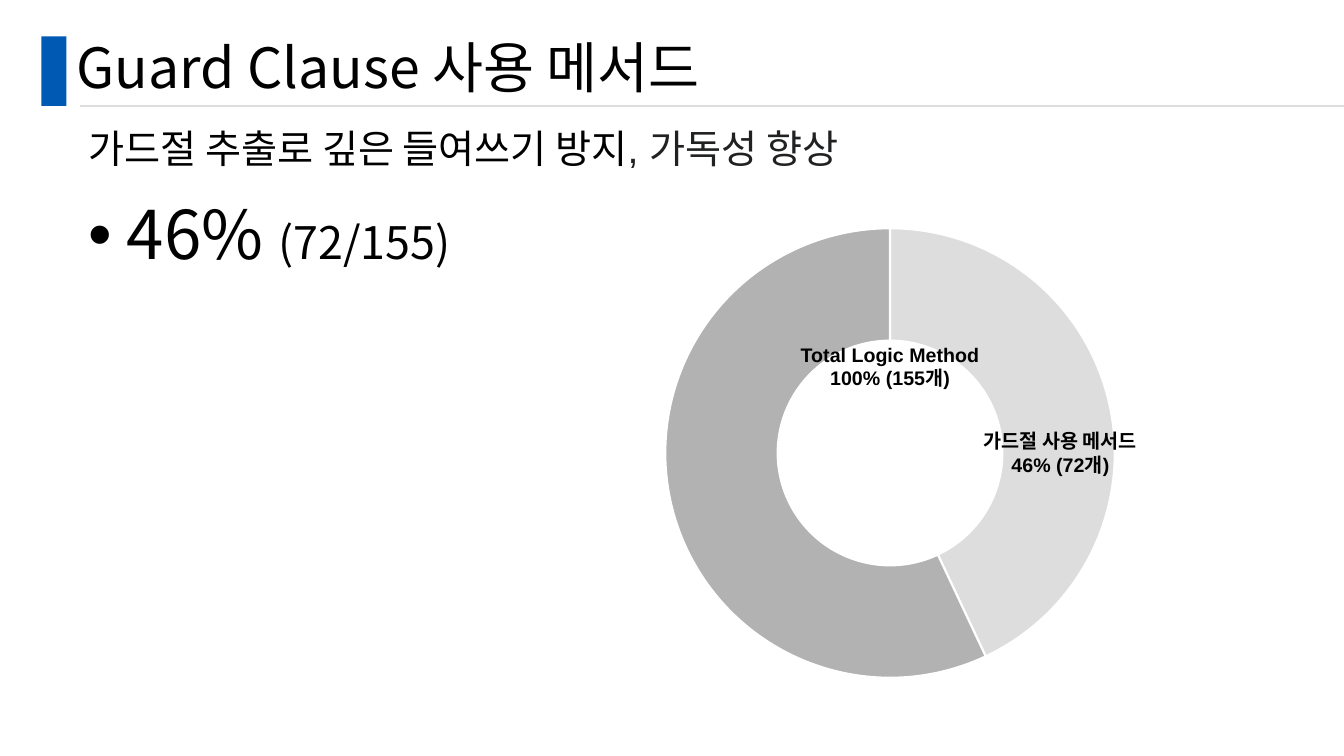
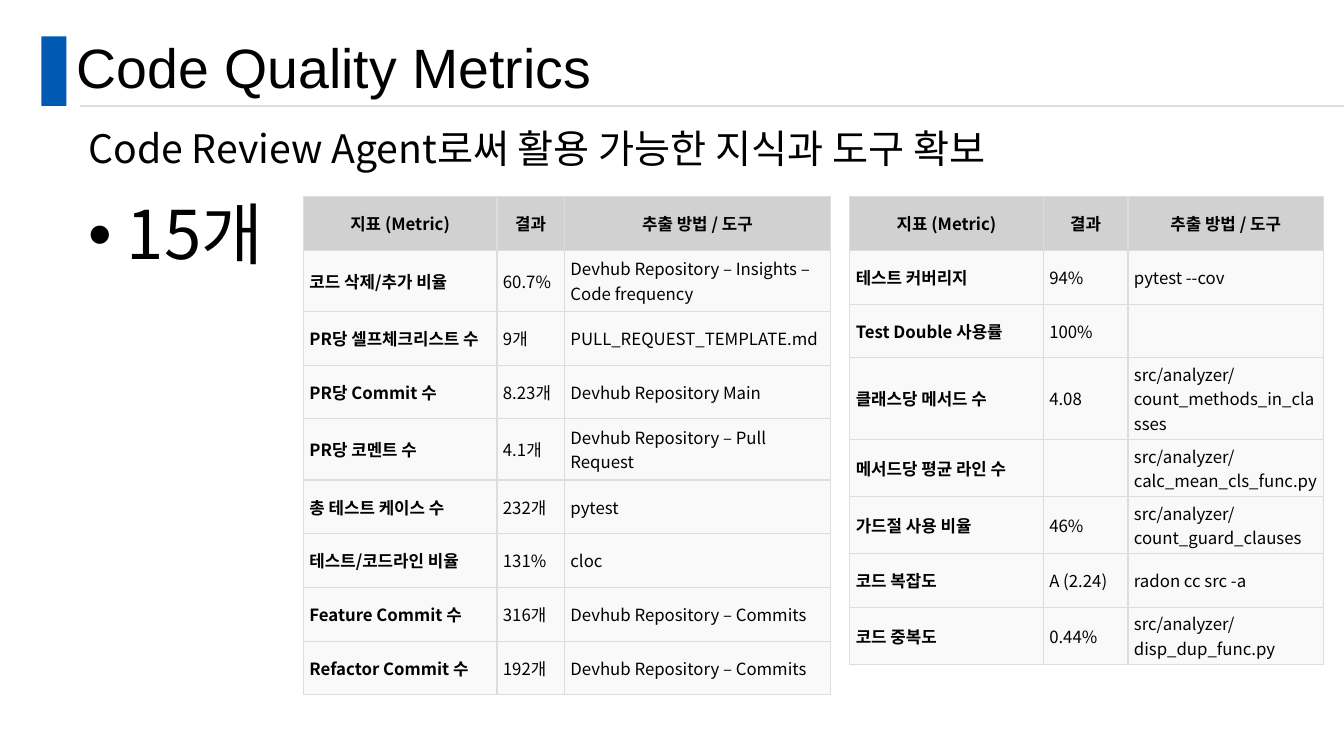
from dataclasses import dataclass
from typing import Optional, Sequence

from lxml import etree
from pptx import Presentation
from pptx import util as u
from pptx.chart import data as chart_data
from pptx.dml.color import RGBColor
from pptx.enum import chart as chart_enum
from pptx.enum import shapes, text
from pptx.oxml.ns import qn

COLUMNS, ROWS = 133.33, 75  # grid of tenth-inch cells


@dataclass(frozen=True)
class Theme:
    black: str = "000000"
    white: str = "FFFFFF"
    soft_black: str = "202122"
    band: str = "005AB4"
    rule: str = "DDDDDD"
    head_fill: str = "D1D1D1"
    row_fill: str = "F9F9F9"
    slices: tuple[str, ...] = ("DDDDDD", "B2B2B2")
    latin: str = "Arial"
    korean: str = "Noto Sans CJK KR"
    title: float = 39.6
    lead: float = 28
    figure: float = 48
    detail: float = 32
    label: float = 14
    table: float = 12
    chart: float = 10


THEME = Theme()


@dataclass(frozen=True)
class Box:
    """Left, top, width and height in grid cells."""
    x: float
    y: float
    w: float
    h: float

    def emu(self) -> tuple[int, int, int, int]:
        return cells(self.x), cells(self.y), cells(self.w), cells(self.h)


@dataclass(frozen=True)
class Span:
    words: str
    size: float
    font: str = THEME.korean
    color: str = THEME.black
    bold: bool = False


@dataclass(frozen=True)
class Page:
    title: Span
    lead: tuple[Span, ...]
    figure: tuple[Span, ...]


@dataclass(frozen=True)
class Label:
    box: Box
    lines: tuple[str, str]


@dataclass(frozen=True)
class Metrics:
    box: Box
    widths: tuple[float, float, float]
    roomy_rows: int  # leading rows with the taller cell margin
    line_counts: tuple[int, ...]  # text lines in each row, header first
    rows: tuple[tuple[str, str, str], ...]


BAND = Box(4.1, 3.6, 2.5, 6.9)
RULE_X, RULE_Y = 7.9, 10.5
TITLE = Box(6.6, 3.4, 115, 7.1)
LEAD = Box(6.6, 12.4, 115, 6.1)
FIGURE = Box(6.6, 19.5, 54.1, 52.1)
DOUGHNUT = Box(57.7, 21.2, 61.2, 47.5)
RING = 44.6  # outer diameter of the doughnut
TABLE_LINE = 2.43  # height of one line of table text
HEADER = ("지표 (Metric)", "결과", "추출 방법 / 도구")

GUARD_PAGE = Page(
    Span("Guard Clause 사용 메서드", THEME.title),
    (Span("가드절 추출로 깊은 들여쓰기 방지", THEME.lead),
     Span(", 가독성 향상", THEME.lead, THEME.latin, THEME.soft_black)),
    (Span("46% ", THEME.figure), Span("(72/155)", THEME.detail)),
)
METRICS_PAGE = Page(
    Span("Code Quality Metrics", THEME.title, THEME.latin),
    (Span("Code Review Agent로써 활용 가능한 지식과 도구 확보", THEME.lead),),
    (Span("15개", THEME.figure),),
)
LABELS = (
    Label(Box(91.5, 42.1, 27.4, 5.7), ("가드절 사용 메서드", "46% (72개)")),
    Label(Box(74.6, 33.5, 27.4, 5.7), ("Total Logic Method", "100% (155개)")),
)
METRICS = (
    Metrics(Box(30.1, 19.5, 52.3, 48), (19.2, 6.7, 26.4), 6, (1, 2, 1, 1, 2, 1, 1, 1, 1), (
        ("코드 삭제/추가 비율", "60.7%", "Devhub Repository – Insights – Code frequency"),
        ("PR당 셀프체크리스트 수", "9개", "PULL_REQUEST_TEMPLATE.md"),
        ("PR당 Commit 수", "8.23개", "Devhub Repository Main"),
        ("PR당 코멘트 수", "4.1개", "Devhub Repository – Pull Request"),
        ("총 테스트 케이스 수", "232개", "pytest"),
        ("테스트/코드라인 비율", "131%", "cloc"),
        ("Feature Commit 수", "316개", "Devhub Repository – Commits"),
        ("Refactor Commit 수", "192개", "Devhub Repository – Commits"),
    )),
    Metrics(Box(84.3, 19.5, 47, 42.7), (19.2, 8.4, 19.4), 1, (1, 1, 1, 3, 2, 2, 1, 2), (
        ("테스트 커버리지", "94%", "pytest --cov"),
        ("Test Double 사용률", "100%", ""),
        ("클래스당 메서드 수", "4.08", "src/analyzer/count_methods_in_classes"),
        ("메서드당 평균 라인 수", "", "src/analyzer/calc_mean_cls_func.py"),
        ("가드절 사용 비율", "46%", "src/analyzer/count_guard_clauses"),
        ("코드 복잡도", "A (2.24)", "radon cc src -a"),
        ("코드 중복도", "0.44%", "src/analyzer/disp_dup_func.py"),
    )),
)


def cells(count: float) -> int:
    return u.Inches(count / 10)


def rgb(color: str) -> RGBColor:
    return RGBColor.from_string(color)


def add_line(parent, tag: str, points: float, color: str, index: Optional[int] = None) -> None:
    """Adds a solid line element to text or cell properties."""
    line = etree.Element(qn(tag), w=str(int(u.Pt(points))))
    fill = etree.SubElement(line, qn("a:solidFill"))
    etree.SubElement(fill, qn("a:srgbClr"), val=color)
    parent.insert(len(parent) if index is None else index, line)


def format_run(run, span: Span) -> None:
    font = run.font
    font.size, font.bold, font.name = u.Pt(span.size), span.bold, span.font
    font.color.rgb = rgb(span.color)
    etree.SubElement(run._r.get_or_add_rPr(), qn("a:ea"), typeface=THEME.korean)


def write(paragraph, spans: Sequence[Span]) -> None:
    for span in spans:
        run = paragraph.add_run()
        run.text = span.words
        format_run(run, span)


def add_text(slide, box: Box, spans: Sequence[Span], margin: float,
             hanging: float = 0, bullet: bool = False) -> None:
    frame = slide.shapes.add_textbox(*box.emu()).text_frame
    frame.word_wrap = True
    paragraph = frame.paragraphs[0]
    props = paragraph._p.get_or_add_pPr()
    props.set("marL", str(cells(margin)))
    props.set("indent", str(cells(-hanging)))
    if bullet:
        color = etree.SubElement(props, qn("a:buClr"))
        etree.SubElement(color, qn("a:srgbClr"), val=THEME.black)
        etree.SubElement(props, qn("a:buFont"), typeface=THEME.latin)
        etree.SubElement(props, qn("a:buChar"), char="•")
    paragraph.line_spacing = 0.9
    write(paragraph, spans)


def decorate_layout(layout, slide) -> None:
    """Puts the title band and the rule behind everything on the layout."""
    band = slide.shapes.add_shape(shapes.MSO_SHAPE.RECTANGLE, *BAND.emu())
    band.shadow.inherit = False
    band.fill.solid()
    band.fill.fore_color.rgb = rgb(THEME.band)
    band.line.fill.background()
    rule = slide.shapes.add_connector(
        shapes.MSO_CONNECTOR.STRAIGHT, cells(RULE_X), cells(RULE_Y), cells(COLUMNS), cells(RULE_Y))
    rule.line.color.rgb = rgb(THEME.rule)
    rule.line.width = u.Pt(1.5)
    etree.SubElement(rule._element.spPr, qn("a:effectLst"))
    for part in (rule, band):
        layout.shapes._spTree.insert(2, part._element)


def add_page(deck, layout, page: Page):
    slide = deck.slides.add_slide(layout)
    title = slide.shapes.title
    title.left, title.top, title.width, title.height = TITLE.emu()
    frame = title.text_frame
    frame.text = page.title.words
    frame.word_wrap = True
    frame.auto_size = text.MSO_AUTO_SIZE.NONE
    frame.vertical_anchor = text.MSO_ANCHOR.MIDDLE
    heading = frame.paragraphs[0]
    heading.alignment = text.PP_ALIGN.LEFT
    heading.line_spacing = 0.9
    format_run(heading.runs[0], page.title)
    add_text(slide, FIGURE, page.figure, margin=5, hanging=3.8, bullet=True)
    add_text(slide, LEAD, page.lead, margin=1.2)
    return slide


def add_doughnut(slide) -> None:
    shares = chart_data.CategoryChartData()
    shares.categories = ["1", "2"]
    shares.add_series("Series 1", (43, 57))
    chart = slide.shapes.add_chart(
        chart_enum.XL_CHART_TYPE.DOUGHNUT, *DOUGHNUT.emu(), shares).chart
    chart.has_legend = chart.has_title = False
    chart.font.name, chart.font.size = THEME.latin, u.Pt(THEME.chart)
    chart.font.color.rgb = rgb(THEME.black)
    plot = chart.plots[0]
    plot.vary_by_categories = True
    for index, color in enumerate(THEME.slices):
        part = plot.series[0].points[index].format
        part.fill.solid()
        part.fill.fore_color.rgb = rgb(color)
        part.line.color.rgb = rgb(THEME.white)
        part.line.width = u.Pt(1.5)
    plot._element.find(qn("c:holeSize")).set("val", "75")
    # Centre the ring in the chart area
    area = plot._element.getparent()
    for old in area.findall(qn("c:layout")):
        area.remove(old)
    layout = etree.Element(qn("c:layout"))
    area.insert(0, layout)
    manual = etree.SubElement(layout, qn("c:manualLayout"))
    wide, high = RING / DOUGHNUT.w, RING / DOUGHNUT.h
    settings = {"layoutTarget": "inner", "xMode": "edge", "yMode": "edge",
                "x": (1 - wide) / 2, "y": (1 - high) / 2, "w": wide, "h": high}
    for key, value in settings.items():
        etree.SubElement(manual, qn(f"c:{key}"), val=str(value))


def add_label(slide, label: Label) -> None:
    frame = slide.shapes.add_textbox(*label.box.emu()).text_frame
    frame.word_wrap = True
    frame.auto_size = text.MSO_AUTO_SIZE.SHAPE_TO_FIT_TEXT
    frame.text = "\n".join(label.lines)
    for paragraph in frame.paragraphs:
        paragraph.alignment = text.PP_ALIGN.CENTER
        run = paragraph.runs[0]
        format_run(run, Span(run.text, THEME.label, THEME.latin, bold=True))
        add_line(run._r.get_or_add_rPr(), "a:ln", 0.25, THEME.white, index=0)


def add_metrics(slide, metrics: Metrics) -> None:
    rows = (HEADER, *metrics.rows)
    table = slide.shapes.add_table(len(rows), len(HEADER), *metrics.box.emu()).table
    for column, width in zip(table.columns, metrics.widths):
        column.width = cells(width)
    for r, (row, lines) in enumerate(zip(rows, metrics.line_counts)):
        # Rows with wrapped text grow to hold all their lines
        margin = 0.6 if r < metrics.roomy_rows else 0.4
        table.rows[r].height = cells(max(metrics.box.h / len(rows), lines * TABLE_LINE + 2 * margin))
        for c, words in enumerate(row):
            cell = table.cell(r, c)
            cell.margin_left = cell.margin_right = cells(0.6)
            cell.margin_top = cell.margin_bottom = cells(margin)
            cell.vertical_anchor = text.MSO_ANCHOR.MIDDLE
            for side in "LRTB":
                add_line(cell._tc.get_or_add_tcPr(), f"a:ln{side}", 1, THEME.rule)
            cell.fill.solid()
            cell.fill.fore_color.rgb = rgb(THEME.row_fill if r else THEME.head_fill)
            if words:
                paragraph = cell.text_frame.paragraphs[0]
                paragraph.alignment = text.PP_ALIGN.LEFT if r else text.PP_ALIGN.CENTER
                write(paragraph, [Span(words, THEME.table, bold=r == 0 or c == 0)])


def main() -> None:
    deck = Presentation()
    deck.slide_width, deck.slide_height = cells(COLUMNS), cells(ROWS)
    layout = deck.slide_layouts[5]

    # Guard clauses
    guard = add_page(deck, layout, GUARD_PAGE)
    decorate_layout(layout, guard)
    add_doughnut(guard)
    for label in LABELS:
        add_label(guard, label)

    # Code quality metrics
    quality = add_page(deck, layout, METRICS_PAGE)
    for metrics in METRICS:
        add_metrics(quality, metrics)

    deck.save("out.pptx")


if __name__ == "__main__":
    main()
